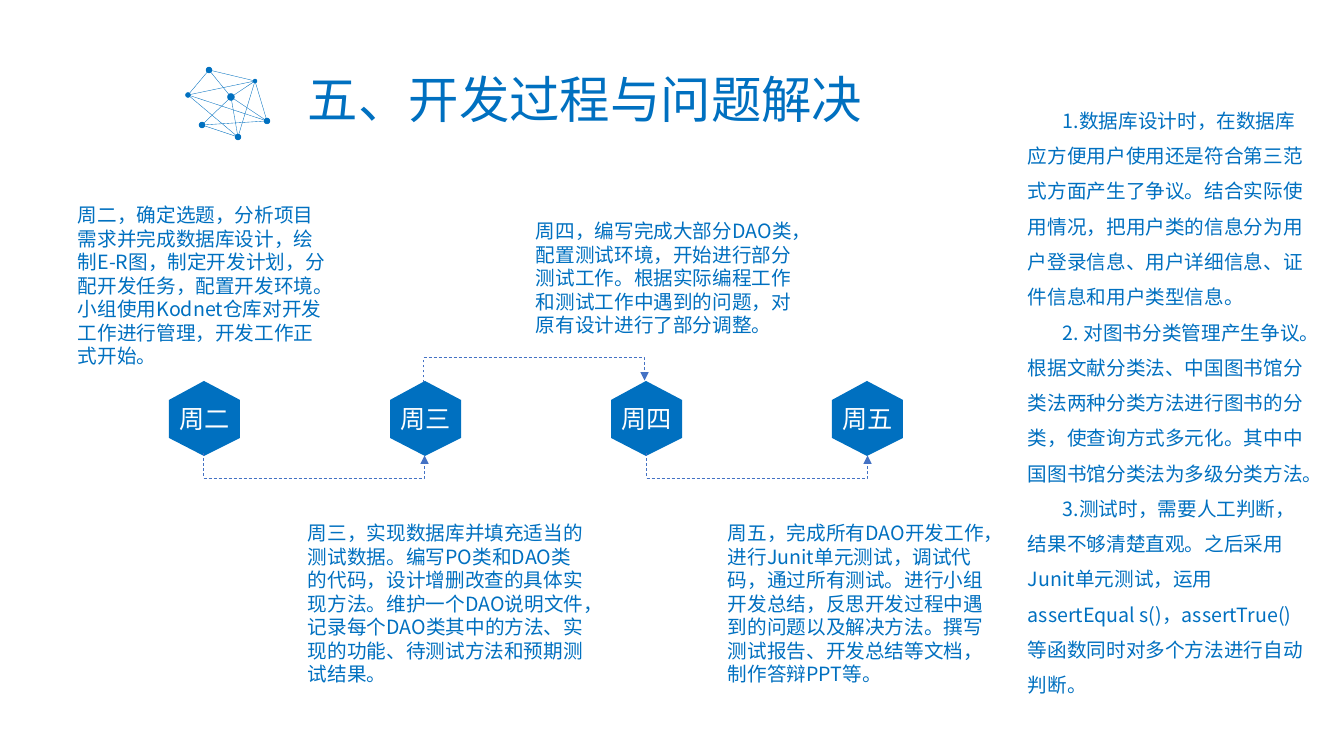
"""Build the slide on the development process and its problems."""
from lxml.etree import SubElement as Sub
from pptx import Presentation
from pptx.dml.color import RGBColor
from pptx.enum.dml import MSO_LINE as Dash
from pptx.enum.shapes import MSO_CONNECTOR as Conn, MSO_SHAPE as Geom
from pptx.enum.text import MSO_ANCHOR as Anchor, PP_ALIGN as Align
from pptx.oxml.ns import qn
from pptx.util import Pt

PX = 9071
FONT = "Noto Sans CJK SC"
BLUE = RGBColor(0x00, 0x70, 0xC0)
STEEL = RGBColor(0x44, 0x72, 0xC4)
WHITE = RGBColor(0xFF, 0xFF, 0xFF)


def write(para, text, size, color=BLUE):
    """Add one run in the slide font."""
    run = para.add_run()
    run.text = text
    run.font.size = Pt(size)
    run.font.name = FONT
    run.font.color.rgb = color
    Sub(run.font._element, qn("a:ea")).set("typeface", FONT)


def link(kind, ends, color, width):
    """Add a connector without a shadow."""
    line = shapes.add_connector(kind, *[v * PX for v in ends])
    line.line.color.rgb = color
    line.line.width = Pt(width)
    Sub(line._element.spPr, qn("a:effectLst"))
    return line


deck = Presentation()
deck.slide_width, deck.slide_height = 1344 * PX, 756 * PX
shapes = deck.slides.add_slide(deck.slide_layouts[6]).shapes

nodes = {
    "a": (209, 70, 6), "b": (231, 97, 7), "c": (255, 81, 4), "d": (202, 125, 6),
    "e": (188, 95, 5), "f": (238, 137, 6), "g": (267, 121, 6),
}
for one, two in "ae ac ab ef ge ce fc bf bg cb cg bd df gd".split():
    link(Conn.STRAIGHT, nodes[one][:2] + nodes[two][:2], BLUE, 0.25)
for x, y, size in nodes.values():
    dot = shapes.add_shape(Geom.OVAL, int((x - size / 2) * PX),
                           int((y - size / 2) * PX), size * PX, size * PX)
    dot.shadow.inherit = False
    dot.fill.solid()
    dot.fill.fore_color.rgb = BLUE
    dot.line.color.rgb = BLUE
    dot.line.width = Pt(0.25)

STEP = 221
for i, day in enumerate(["周二", "周三", "周四", "周五"]):
    left, top = 169 + i * STEP, 381
    pen = shapes.build_freeform(left + 35, top + 75, scale=PX)
    pen.add_line_segments([(left + x, top + y) for x, y in
                           [(71, 57), (71, 19), (35, 0), (0, 19), (0, 57)]])
    hexa = pen.convert_to_shape()
    hexa.shadow.inherit = False
    hexa.fill.solid()
    hexa.fill.fore_color.rgb = BLUE
    hexa.line.fill.background()
    frame = hexa.text_frame
    frame.margin_left = frame.margin_right = 0
    frame.margin_top = frame.margin_bottom = 0
    frame.vertical_anchor = Anchor.MIDDLE
    para = frame.paragraphs[0]
    para.alignment = Align.CENTER
    write(para, day, 18, WHITE)

THICK, BEND = 2, 25
for start, mid, over in [(204, 454, False), (424, 381, True), (647, 454, False)]:
    left = start + STEP // 2 - THICK // 2
    top, base = mid - STEP // 2, mid - STEP // 2 + STEP
    ends = (left + THICK, base, left, top) if over else (left + THICK, top, left, base)
    arrow = link(Conn.ELBOW, ends, STEEL, 0.5)
    arrow.line.dash_style = Dash.DASH
    Sub(arrow.line._get_or_add_ln(), qn("a:tailEnd")).set("type", "triangle")
    props = arrow._element.spPr
    props.find(qn("a:xfrm")).set("rot", str((90 if over else 270) * 60000))
    guide = Sub(props.find(qn("a:prstGeom")).find(qn("a:avLst")), qn("a:gd"))
    guide.set("name", "adj1")
    guide.set("fmla", f"val {BEND * 100000 // THICK}")

title = ["五、开发过程与问题解决"]
tue = ["周二，确定选题，分析项目需求并完成数据库设计，绘制E-R图，制定开发计划，"
       "分配开发任务，配置开发环境。小组使用Kodnet仓库对开发工作进行管理，开发工作正式开始。"]
wed = ["周三，实现数据库并填充适当的测试数据。编写PO类和DAO类的代码，设计增删改查的具体实现方法。"
       "维护一个DAO说明文件，记录每个DAO类其中的方法、实现的功能、待测试方法和预期测试结果。"]
thu = ["周四，编写完成大部分DAO类，配置测试环境，开始进行部分测试工作。"
       "根据实际编程工作和测试工作中遇到的问题，对原有设计进行了部分调整。"]
fri = ["周五，完成所有DAO开发工作，进行Junit单元测试，调试代码，通过所有测试。进行小组开发总结，"
       "反思开发过程中遇到的问题以及解决方法。撰写测试报告、开发总结等文档，制作答辩PPT等。"]
issues = [
    "1.数据库设计时，在数据库应方便用户使用还是符合第三范式方面产生了争议。结合实际使用情况，"
    "把用户类的信息分为用户登录信息、用户详细信息、证件信息和用户类型信息。",
    "2. 对图书分类管理产生争议。根据文献分类法、中国图书馆分类法两种分类方法进行图书的分类，"
    "使查询方式多元化。其中中国图书馆分类法为多级分类方法。",
    "3.测试时，需要人工判断，结果不够清楚直观。之后采用Junit单元测试，"
    "运用assertEqual s()，assertTrue()等函数同时对多个方法进行自动判断。",
]
for box, texts, size, space, indent, anchor in [
    ((298, 59, 799, 87), title, 36, 0.9, 0, Anchor.MIDDLE),
    ((68, 198, 267, 176), tue, 14, 1.0, 0, Anchor.TOP),
    ((298, 516, 300, 176), wed, 14, 1.0, 0, Anchor.TOP),
    ((526, 214, 279, 129), thu, 14, 1.0, 0, Anchor.TOP),
    ((718, 516, 277, 176), fri, 14, 1.0, 0, Anchor.TOP),
    ((1018, 92, 299, 612), issues, 14, 1.5, 35, Anchor.TOP),
]:
    frame = shapes.add_textbox(*[v * PX for v in box]).text_frame
    frame.word_wrap = True
    frame.vertical_anchor = anchor
    for i, text in enumerate(texts):
        para = frame.add_paragraph() if i else frame.paragraphs[0]
        para.line_spacing = space
        para._p.get_or_add_pPr().set("indent", str(indent * PX))
        write(para, text, size)

deck.save("out.pptx")
